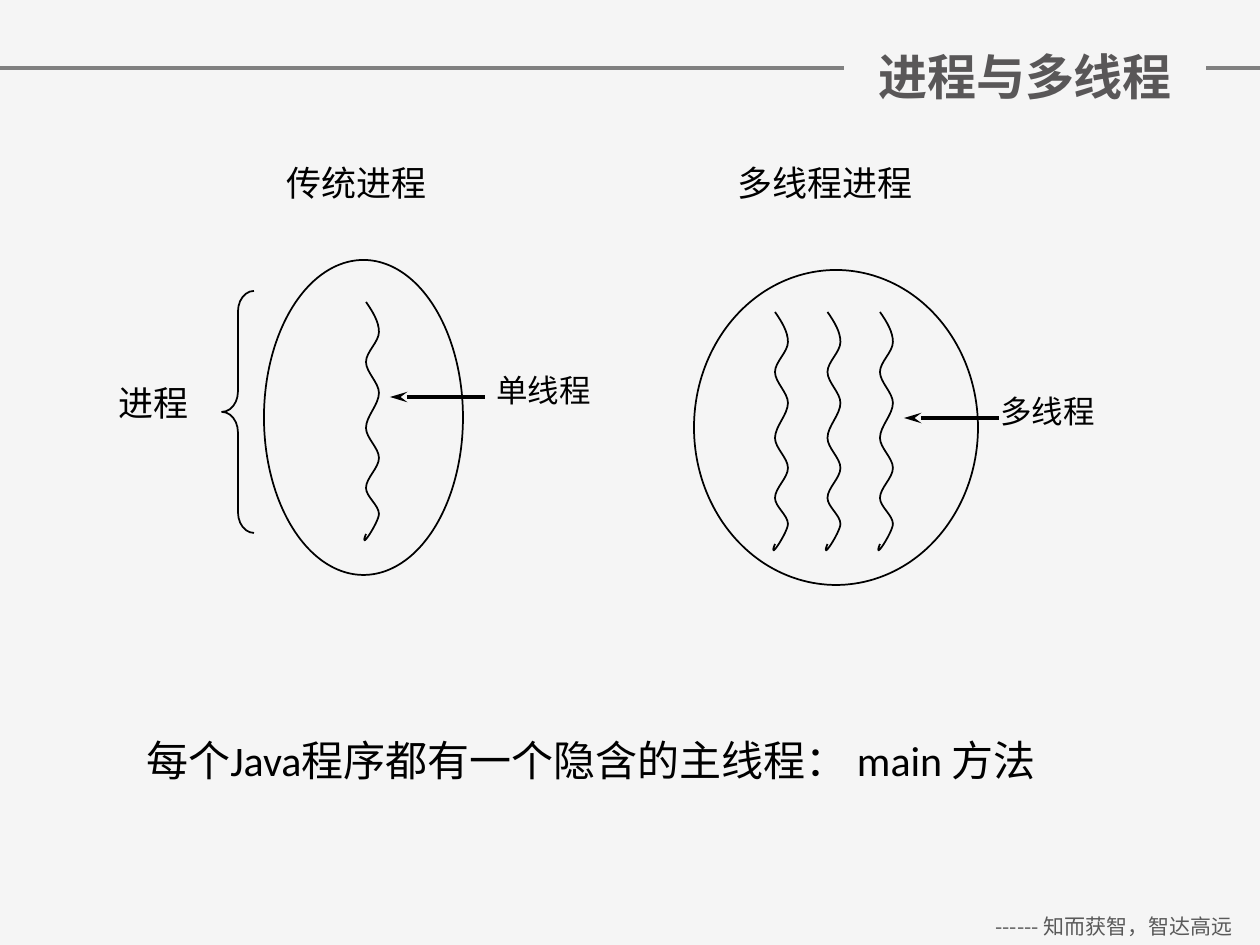
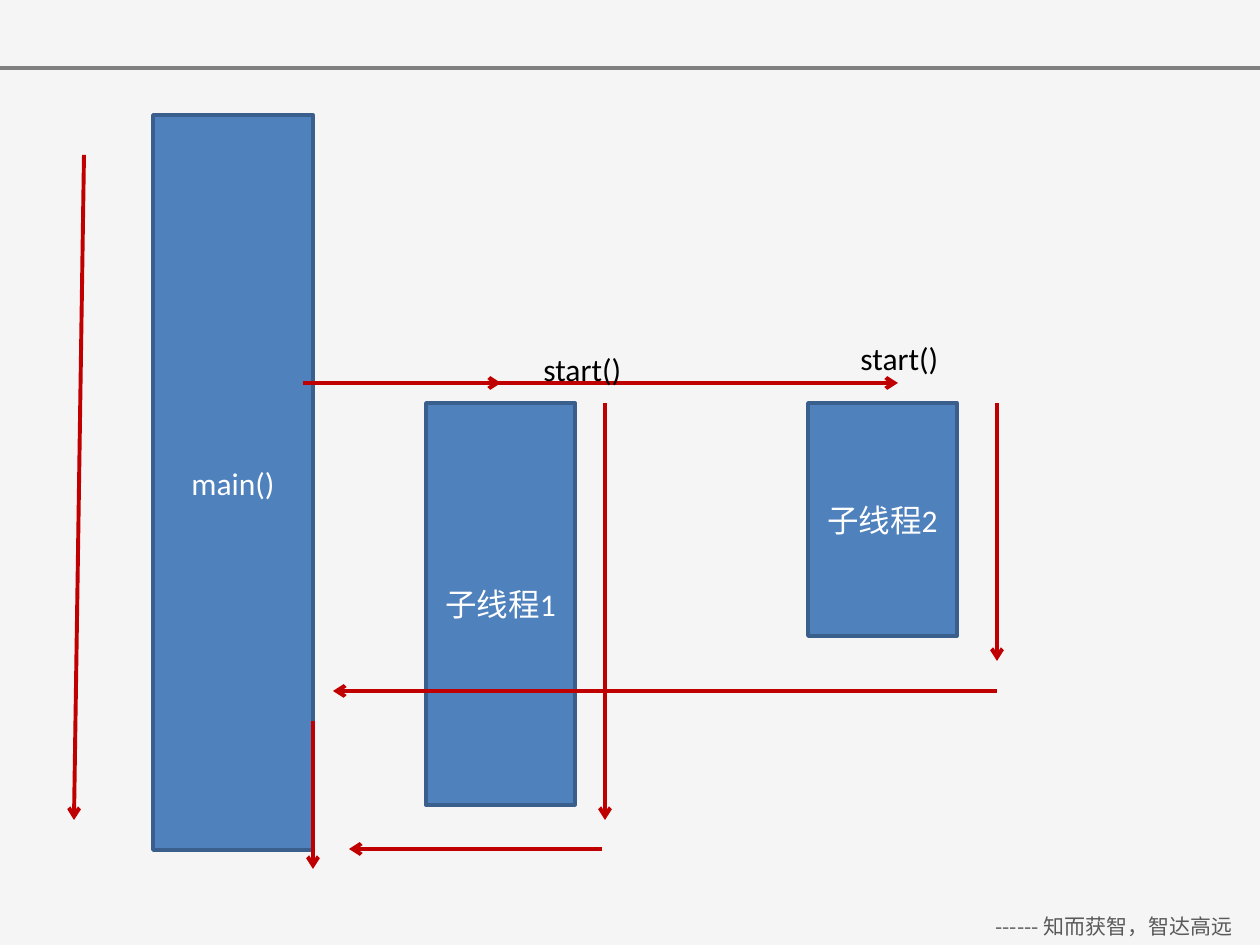
import pptx
import pptx.util
import pptx.dml.color
import pptx.enum.shapes
import pptx.enum.text
import pptx.oxml.ns
import lxml.etree

RGB = pptx.dml.color.RGBColor
SHAPE = pptx.enum.shapes.MSO_SHAPE
ALIGN = pptx.enum.text.PP_ALIGN
ANCHOR = pptx.enum.text.MSO_ANCHOR
qn = pptx.oxml.ns.qn

PAPER = RGB(0xF5, 0xF5, 0xF5)
RULE = RGB(0x80, 0x80, 0x80)
TITLE = RGB(0x59, 0x57, 0x58)
FOOTER = RGB(0x59, 0x59, 0x59)
INK = RGB(0, 0, 0)
WHITE = RGB(0xFF, 0xFF, 0xFF)
BLUE = RGB(0x4F, 0x81, 0xBD)
NAVY = RGB(0x3A, 0x5F, 0x8C)
RED = RGB(0xC0, 0, 0)
LATIN = "Calibri"
CJK = "Noto Sans CJK SC"
WIDTH, HEIGHT = 1260, 945


def px(n):
    """Turn px into EMU, at 126 px to the inch."""
    return pptx.util.Emu(round(n * 914400 / 126))


def write(sp, text, size, color, font=LATIN, align=ALIGN.LEFT, bold=False):
    """Set and format the single paragraph of a shape."""
    tf = sp.text_frame
    tf.word_wrap = True
    tf.text = text
    p = tf.paragraphs[0]
    p.alignment = align
    r = p.runs[0]
    r.font.size = pptx.util.Pt(size)
    r.font.bold = bold
    r.font.name = font
    r.font.color.rgb = color
    lxml.etree.SubElement(r.font._element, qn("a:ea"), typeface=CJK)


def add_label(s, x, y, w, h, text, size, color=INK, **style):
    """Add a text box."""
    sp = s.shapes.add_textbox(px(x), px(y), px(w), px(h))
    write(sp, text, size, color, **style)


def add_line(s, x1, y1, x2, y2, color, width, **head):
    """Add a straight line, with an arrowhead at its end if one is described."""
    c = s.shapes.add_connector(pptx.enum.shapes.MSO_CONNECTOR.STRAIGHT,
                               px(x1), px(y1), px(x2), px(y2))
    c.line.color.rgb = color
    c.line.width = pptx.util.Pt(width)
    if head:
        lxml.etree.SubElement(c.line._get_or_add_ln(), qn("a:tailEnd"), **head)
    lxml.etree.SubElement(c._element.spPr, qn("a:effectLst"))


def style_outline(sp):
    """Give a shape a thin ink line and no fill."""
    sp.shadow.inherit = False
    sp.fill.background()
    sp.line.color.rgb = INK
    sp.line.width = pptx.util.Pt(1)


def add_outline(s, kind, x, y, w, h):
    """Add an unfilled preset shape."""
    sp = s.shapes.add_shape(kind, px(x), px(y), px(w), px(h))
    style_outline(sp)
    return sp


def add_box(s, x, y, w, h, text):
    """Add a blue block that stands for a running thread."""
    sp = s.shapes.add_shape(SHAPE.RECTANGLE, px(x), px(y), px(w), px(h))
    sp.shadow.inherit = False
    sp.fill.solid()
    sp.fill.fore_color.rgb = BLUE
    sp.line.color.rgb = NAVY
    sp.line.width = pptx.util.Pt(2)
    sp.text_frame.vertical_anchor = ANCHOR.MIDDLE
    write(sp, text, 18, WHITE, align=ALIGN.CENTER)


def curve_segments(sp):
    """Turn each three straight segments of a freeform into one cubic curve."""
    lines = list(sp._element.iter(qn("a:lnTo")))
    for first in range(0, len(lines), 3):
        curve = lxml.etree.Element(qn("a:cubicBezTo"))
        lines[first].addprevious(curve)
        for line in lines[first:first + 3]:
            curve.append(line[0])
            line.getparent().remove(line)


def add_squiggle(s, x, y):
    """Add the wavy line of a thread, starting at x, y."""
    swing = 13
    turns = [30, 60, 91, 126, 156, 186, 212]
    points = [(7, 10), (swing, 20), (swing, turns[0])]
    for i, (top, bottom) in enumerate(zip(turns, turns[1:])):
        x1, x2 = (swing, 0) if i % 2 == 0 else (0, swing)
        third = (bottom - top) / 3
        points += [(x1, top + third), (x2, bottom - third), (x2, bottom)]
    points += [(swing, 220), (-8, 252), (0, 232)]
    fb = s.shapes.build_freeform(px(x), px(y))
    fb.add_line_segments([(px(x + dx), px(y + dy)) for dx, dy in points], close=False)
    sp = fb.convert_to_shape()
    curve_segments(sp)
    style_outline(sp)


def add_slide(prs):
    """Add a slide with the shared background, rule and footer."""
    s = prs.slides.add_slide(prs.slide_layouts[6])
    s.background.fill.solid()
    s.background.fill.fore_color.rgb = PAPER
    add_line(s, 0, 68, WIDTH, 68, RULE, 2)
    add_label(s, 968, 907, 292, 38, "------ 知而获智，智达高远", 12, FOOTER,
              font=CJK, align=ALIGN.CENTER)
    return s


def add_title(s, text):
    """Add a title that interrupts the rule."""
    sp = s.shapes.add_shape(SHAPE.RECTANGLE, px(844), px(36), px(362), px(79))
    sp.shadow.inherit = False
    sp.fill.solid()
    sp.fill.fore_color.rgb = PAPER
    sp.line.fill.background()
    sp.text_frame.vertical_anchor = ANCHOR.MIDDLE
    write(sp, text, 28, TITLE, font=CJK, align=ALIGN.CENTER, bold=True)


def add_pointer(s, x, y):
    """Add a long-headed arrow that points left from x, y to a thread."""
    add_line(s, x, y, x - 95, y, INK, 2, type="stealth", len="lg")


def build_processes(prs):
    """Compare a single-threaded process with a multithreaded one."""
    s = add_slide(prs)
    add_title(s, "进程与多线程")

    add_squiggle(s, 366, 302)
    add_label(s, 484, 365, 168, 50, "单线程", 18)
    add_pointer(s, 485, 397)

    for i in range(3):
        add_squiggle(s, 775 + i * 52.5, 312)
    add_label(s, 988, 386, 168, 50, "多线程", 18)
    add_pointer(s, 999, 418)

    add_outline(s, SHAPE.OVAL, 264, 260, 199, 315)
    add_label(s, 106, 375, 136, 55, "进程", 20)
    brace = add_outline(s, SHAPE.LEFT_BRACE, 222, 291, 32, 242)
    brace.adjustments[0] = 0.64
    add_label(s, 274, 155, 284, 55, "传统进程", 20)

    add_outline(s, SHAPE.OVAL, 694, 270, 284, 315)
    add_label(s, 725, 155, 294, 55, "多线程进程", 20)

    add_label(s, 134, 728, 935, 63, "每个Java程序都有一个隐含的主线程： main 方法", 24)


def build_timeline(prs):
    """Show main() starting two threads that run beside it."""
    s = add_slide(prs)
    add_box(s, 153, 115, 160, 735, "main()")
    for i, height in enumerate((402, 233)):
        add_box(s, 426 + i * 382, 403, 149, height, f"子线程{i + 1}")
    arrows = [
        (84, 155, 74, 820),
        (303, 383, 501, 383),
        (313, 383, 898, 383),
        (605, 403, 605, 820),
        (997, 403, 997, 661),
        (602, 849, 349, 849),
        (313, 721, 313, 869),
        (997, 691, 333, 691),
    ]
    for arrow in arrows:
        add_line(s, *arrow, RED, 2.25, type="arrow")
    for x, y in ((531, 344), (848, 333)):
        add_label(s, x, y, 179, 50, "start()", 18)


def main():
    """Build and save the presentation."""
    prs = pptx.Presentation()
    prs.slide_width, prs.slide_height = px(WIDTH), px(HEIGHT)
    build_processes(prs)
    build_timeline(prs)
    prs.save("out.pptx")


if __name__ == "__main__":
    main()
